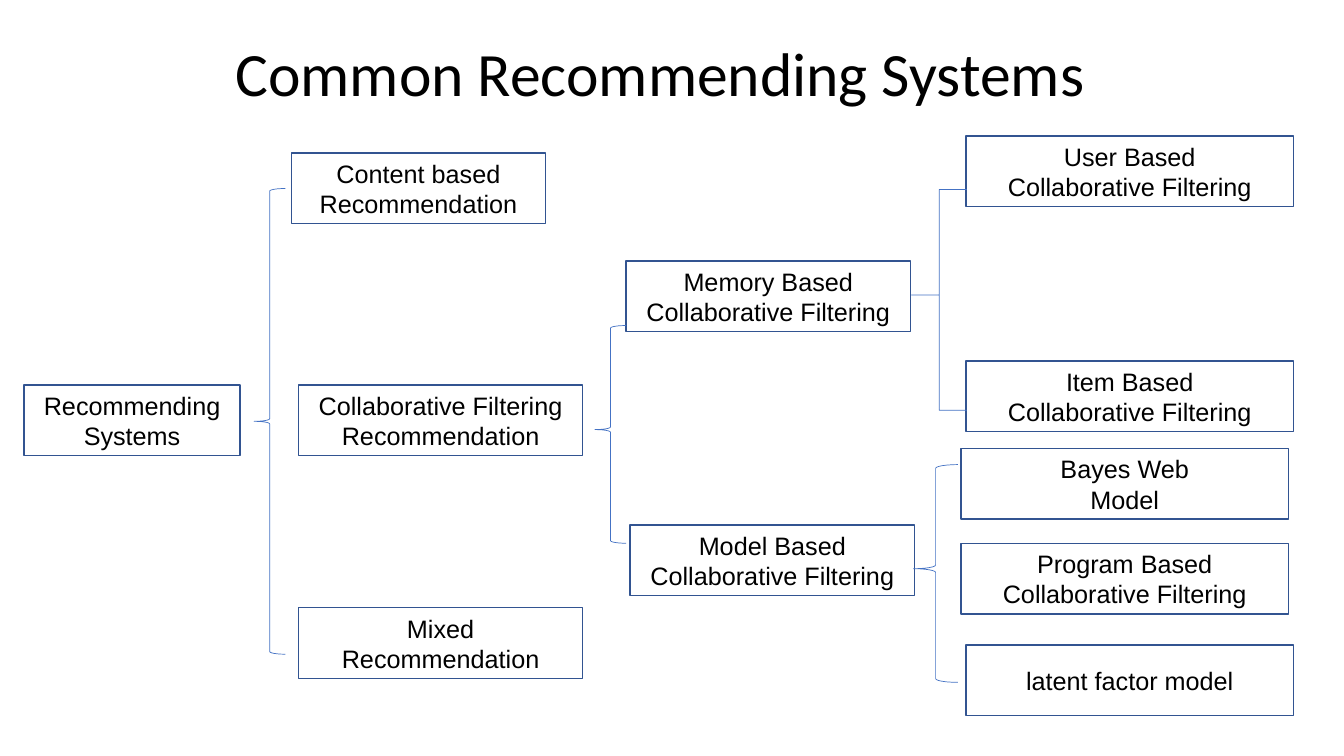
from pptx import Presentation
from pptx.dml.color import RGBColor
from pptx.enum.shapes import MSO_SHAPE
from pptx.enum.text import MSO_ANCHOR, PP_ALIGN
from pptx.util import Pt

EMU_PER_PX = 9144
SLIDE_SIZE = (1333, 750)
BOX_HEIGHT = 70

BOXES = [
    (24, 382, 214, "Recommending\nSystems"),
    (289, 152, 252, "Content based\nRecommendation"),
    (296, 382, 282, "Collaborative Filtering\nRecommendation"),
    (296, 603, 282, "Mixed\nRecommendation"),
    (621, 259, 282, "Memory Based\nCollaborative Filtering"),
    (625, 521, 282, "Model Based\nCollaborative Filtering"),
    (958, 135, 325, "User Based\nCollaborative Filtering"),
    (958, 358, 325, "Item Based\nCollaborative Filtering"),
    (953, 445, 325, "Bayes Web\nModel"),
    (953, 539, 325, "Program Based\nCollaborative Filtering"),
    (958, 640, 325, "latent factor model"),
]

BRACES = [
    (252, 187, 31, 462, 0.083, 0.5),
    (590, 323, 31, 216, 0.083, 0.478),
    (904, 188, 55, 219, 0, 0.478),
    (906, 461, 44, 216, 0.083, 0.478),
]


def px(*lengths):
    return [length * EMU_PER_PX for length in lengths]


def color(value):
    return RGBColor.from_string(value)


def set_formats(target, formats):
    for name, value in formats.items():
        setattr(target, name, value)


class TreeSlide:
    """Holds the diagram style and the slide being drawn."""

    title_font = {"name": "Calibri", "size": Pt(44)}
    box_font = {"name": "Arial", "size": Pt(18)}
    title_paragraph = {"alignment": PP_ALIGN.CENTER, "line_spacing": 0.9}
    box_paragraph = {"alignment": PP_ALIGN.CENTER}
    frame = {"word_wrap": True, "vertical_anchor": MSO_ANCHOR.MIDDLE}
    text_color = "000000"
    box_line = ("325491", 1)
    brace_line = ("4472C4", 0.5)

    def __init__(self, presentation):
        self.slide = presentation.slides.add_slide(presentation.slide_layouts[6])

    def label(self, shape, text, font, paragraph_format):
        set_formats(shape.text_frame, self.frame)
        shape.text_frame.text = text
        for paragraph in shape.text_frame.paragraphs:
            set_formats(paragraph, paragraph_format)
            for run in paragraph.runs:
                set_formats(run.font, font)
                run.font.color.rgb = color(self.text_color)

    def outline(self, kind, bounds, line):
        shape = self.slide.shapes.add_shape(kind, *px(*bounds))
        shape.shadow.inherit = False
        shape.fill.background()
        line_color, width = line
        shape.line.color.rgb = color(line_color)
        shape.line.width = Pt(width)
        return shape

    def title(self, bounds, text):
        shape = self.slide.shapes.add_textbox(*px(*bounds))
        self.label(shape, text, self.title_font, self.title_paragraph)

    def box(self, left, top, width, text):
        bounds = (left, top, width, BOX_HEIGHT)
        shape = self.outline(MSO_SHAPE.RECTANGLE, bounds, self.box_line)
        self.label(shape, text, self.box_font, self.box_paragraph)

    def brace(self, left, top, width, height, curve, tip):
        bounds = (left, top, width, height)
        shape = self.outline(MSO_SHAPE.LEFT_BRACE, bounds, self.brace_line)
        shape.adjustments[0] = curve
        shape.adjustments[1] = tip


def main():
    presentation = Presentation()
    presentation.slide_width, presentation.slide_height = px(*SLIDE_SIZE)
    tree = TreeSlide(presentation)
    tree.title((80, 3, 1150, 145), "Common Recommending Systems")
    for box in BOXES:
        tree.box(*box)
    for brace in BRACES:
        tree.brace(*brace)
    presentation.save("out.pptx")


if __name__ == "__main__":
    main()
